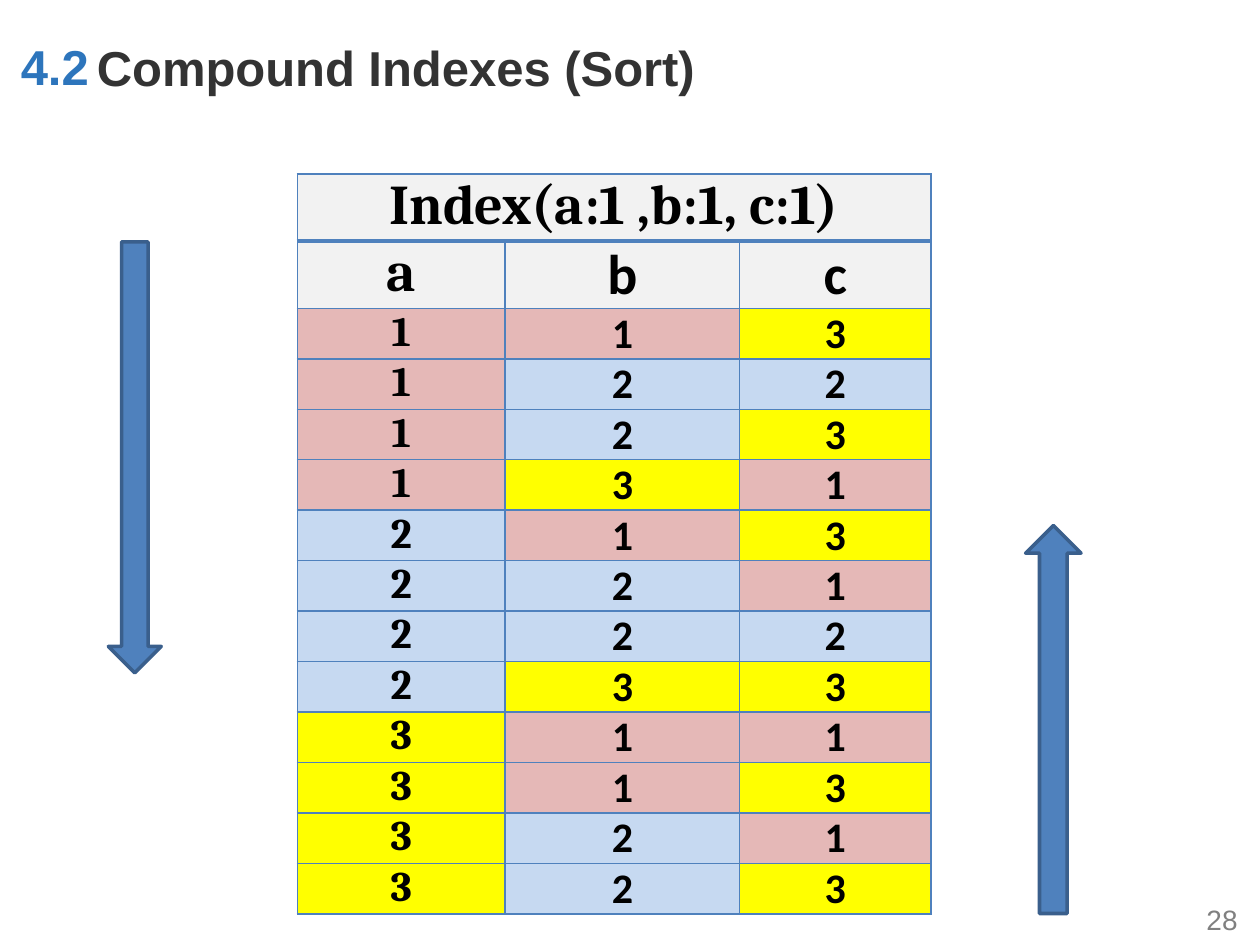
"""Build the slide that shows how a compound index sorts its rows."""
from lxml.etree import SubElement
from pptx import Presentation
from pptx.dml.color import RGBColor as RGB
from pptx.enum.shapes import MSO_SHAPE as Shape
from pptx.enum.text import MSO_ANCHOR as Anchor, PP_ALIGN as Align
from pptx.oxml.ns import qn
from pptx.util import Inches, Pt

COLORS = {
    "page": "808080", "number": "2D75BC", "title": "333333", "ink": "000000",
    "header": "F2F2F2", "edge": "4F81BD", "arrow": "4F81BD", "outline": "3A5F8C",
    "1": "E5B8B7", "2": "C6D9F1", "3": "FFFF00",
}
TITLE = "Index(a:1 ,b:1, c:1)"
ENTRIES = ["113", "122", "123", "131", "213", "221", "222", "233", "311", "313", "321", "323"]

deck = Presentation()
deck.slide_width, deck.slide_height = Inches(10), Inches(7.5)
slide = deck.slides.add_slide(deck.slide_layouts[6])
COL, ROW = deck.slide_width / 100, deck.slide_height / 75


def place(left, top, width, height):
    return int(left * COL), int(top * ROW), int(width * COL), int(height * ROW)


def write(frame, words, align, color, **font_format):
    paragraph = frame.paragraphs[0]
    paragraph.alignment = align
    run = paragraph.add_run()
    run.text = words
    run.font.color.rgb = RGB.from_string(COLORS[color])
    for attribute, value in font_format.items():
        setattr(run.font, attribute, value)


for words, area, align, color, size, bold in [
    ("28", (94.2, 71, 5, 4), Align.RIGHT, "page", 16, False),
    ("4.2", (0.2, 2.4, 8.3, 5.7), Align.CENTER, "number", 28, True),
    ("Compound Indexes (Sort)", (6.7, 2.5, 87.5, 5.7), Align.LEFT, "title", 28, True),
]:
    label = slide.shapes.add_textbox(*place(*area)).text_frame
    label.word_wrap = True
    label.vertical_anchor = Anchor.MIDDLE
    write(label, words, align, color, name="Arial", size=Pt(size), bold=bold)

lines = [[TITLE, "", ""], list("abc")] + [list(entry) for entry in ENTRIES]
index = slide.shapes.add_table(len(lines), 3, *place(23.6, 13.8, 50.3, 58.6)).table
for column, width in zip(index.columns, (16.5, 18.6, 15.2)):
    column.width = int(width * COL)

for r, line in enumerate(lines):
    heading = r < 2
    index.rows[r].height = int((5.3 if heading else 4) * ROW)
    for c, words in enumerate(line):
        cell = index.cell(r, c)
        cell.margin_left = cell.margin_right = Inches(0.07)
        cell.margin_top = cell.margin_bottom = 0
        for side in "LRTB":
            heavy = (r, side) in [(0, "B"), (1, "T")]
            border = SubElement(cell._tc.tcPr, qn(f"a:ln{side}"), w=str(Pt(2.25 if heavy else 1)))
            paint = SubElement(border, qn("a:solidFill"))
            SubElement(paint, qn("a:srgbClr"), val=COLORS["edge"])
        cell.fill.solid()
        cell.fill.fore_color.rgb = RGB.from_string(COLORS["header" if heading else words])
        if words:
            write(cell.text_frame, words, Align.CENTER, "ink", bold=True,
                  name="Calibri" if c else "Cambria", size=Pt(32 if heading else 24))
index.cell(0, 0).merge(index.cell(0, 2))

for area, rotation in [((8.6, 19.2, 4.2, 34.2), 0), ((81.4, 41.7, 4.4, 30.8), 180)]:
    direction = slide.shapes.add_shape(Shape.DOWN_ARROW, *place(*area))
    direction.rotation = rotation
    direction.shadow.inherit = False
    direction.fill.solid()
    direction.fill.fore_color.rgb = RGB.from_string(COLORS["arrow"])
    direction.line.color.rgb = RGB.from_string(COLORS["outline"])
    direction.line.width = Pt(2)

deck.save("out.pptx")
